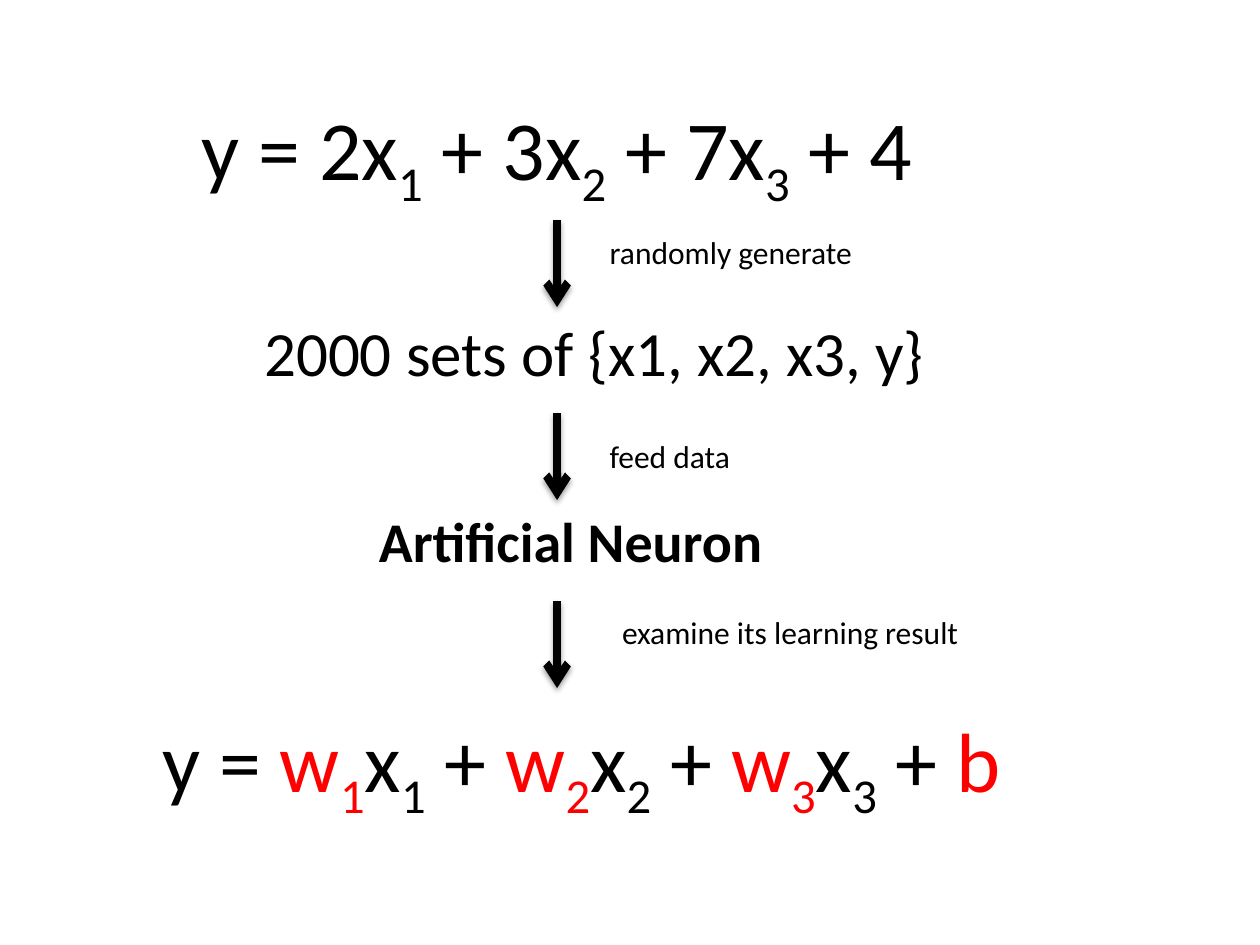
from lxml import etree
from pptx import Presentation
from pptx import util as u
from pptx.dml.color import RGBColor
from pptx.enum import shapes, text

BLACK = RGBColor(0, 0, 0)
RED = RGBColor(255, 0, 0)


class Deck:
    """Draws text, formulas and arrows on the current slide in one style."""

    face = "Calibri"
    axis = 11.23

    def __init__(self):
        self.prs = Presentation()
        self.prs.slide_width, self.prs.slide_height = u.Cm(25.4), u.Cm(19.05)
        self.slide = self.prs.slides.add_slide(self.prs.slide_layouts[6])

    def label(self, left, top, width, height, size, words="", bold=False):
        box = self.slide.shapes.add_textbox(*map(u.Cm, (left, top, width, height)))
        frame = box.text_frame
        frame.word_wrap = False
        frame.auto_size = text.MSO_AUTO_SIZE.SHAPE_TO_FIT_TEXT
        para = frame.paragraphs[0]
        font = para.font
        font.name, font.size, font.bold = self.face, u.Pt(size), bold
        font.color.rgb = BLACK
        if words:
            para.add_run().text = words
        return para

    def math(self, left, top, width, parts):
        para = self.label(left, top, width, 2.31, 48)
        for words, low, color in parts:
            run = para.add_run()
            run.text = words
            run.font.color.rgb = color
            if low:
                run.font._element.set("baseline", "-25000")

    def arrow(self, top):
        x = u.Cm(self.axis)
        line = self.slide.shapes.add_connector(
            shapes.MSO_CONNECTOR.STRAIGHT, x, u.Cm(top), x, u.Cm(top + 1.75))
        line.line.color.rgb = BLACK
        line.line.width = u.Pt(4.5)
        stroke = line.line._get_or_add_ln()
        tag = etree.QName(stroke).namespace
        etree.SubElement(stroke, f"{{{tag}}}tailEnd", type="arrow")


def main():
    deck = Deck()

    known = [("y = ", False, BLACK)]
    learned = list(known)
    for num, coef in enumerate("237", 1):
        known += [(f"{coef}x", False, BLACK), (str(num), True, BLACK),
                  (" + ", False, BLACK)]
        learned += [("w", False, RED), (str(num), True, RED),
                    ("x", False, BLACK), (str(num), True, BLACK),
                    (" + ", False, BLACK)]
    known.append(("4", False, BLACK))
    learned.append(("b", False, RED))

    deck.math(3.81, 1.83, 15.24, known)
    deck.label(5.08, 6.2, 13.94, 1.8, 36, "2000 sets of {x1, x2, x3, y}")
    deck.label(7.39, 10.08, 8.33, 1.63, 32, "Artificial Neuron", bold=True)
    deck.math(3.02, 14.15, 18.03, learned)

    steps = [
        (4.44, 12.04, 4.57, 5.49, "randomly generate"),
        (8.33, 12.04, 8.69, 3, "feed data"),
        (12.12, 12.29, 12.24, 7.39, "examine its learning result"),
    ]
    for start, left, top, width, words in steps:
        deck.arrow(start)
        deck.label(left, top, width, 1.02, 18, words)

    deck.prs.save("out.pptx")


if __name__ == "__main__":
    main()
